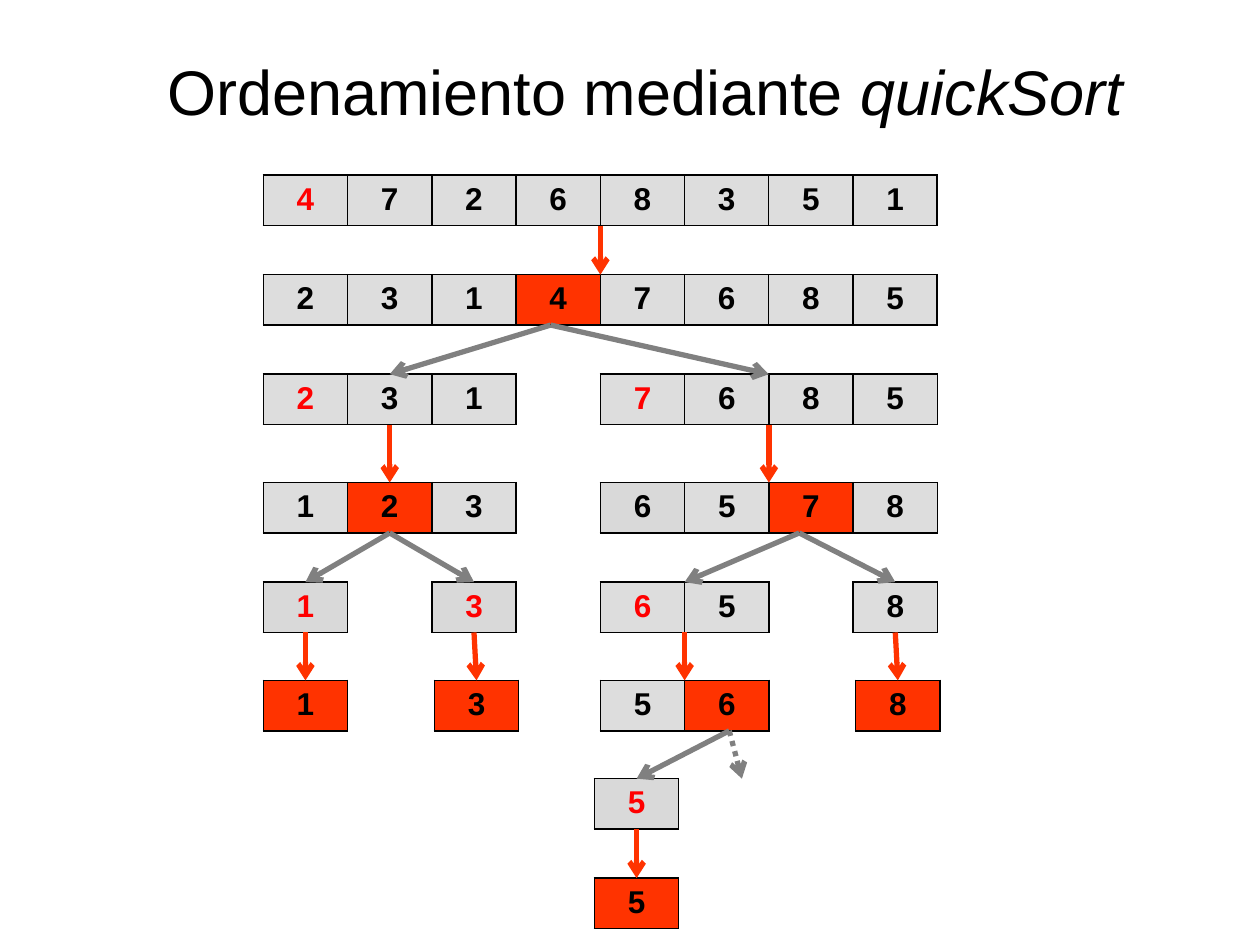
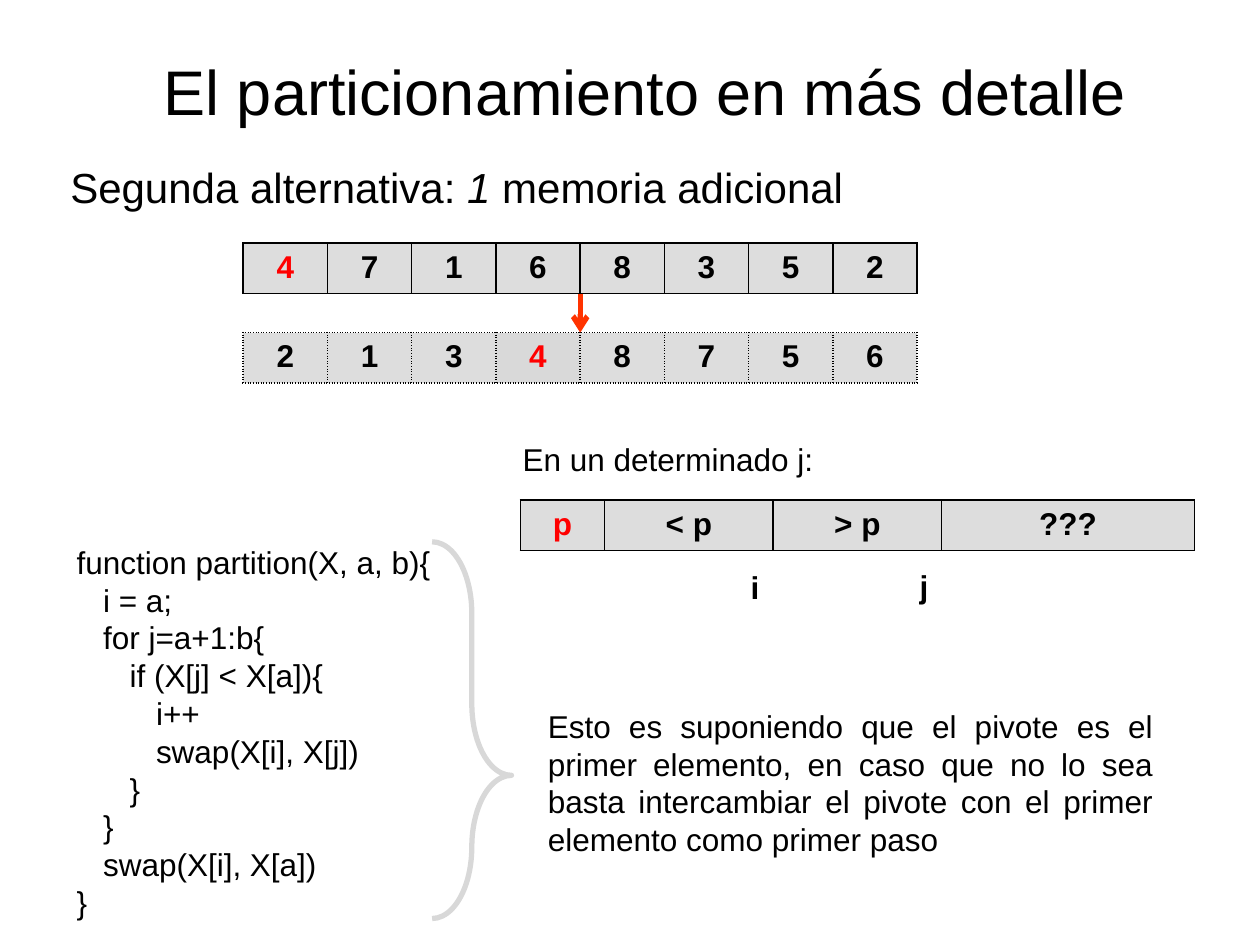
from pptx import Presentation
from pptx.dml.color import RGBColor
from pptx.enum.dml import MSO_LINE as Dash
from pptx.enum.shapes import MSO_CONNECTOR as Link, MSO_SHAPE as Shape
from pptx.enum.text import MSO_ANCHOR as Anchor, PP_ALIGN as Align
from pptx.oxml.ns import qn
from pptx.util import Inches, Pt
from lxml.etree import SubElement

COLORS = {
    "ink": "000000", "candidate": "FF0000", "placed": "FF3300",
    "cell": "DDDDDD", "shade": "D9D9D9", "split": "808080", "brace": "D8D8D8",
}
FONT = "Arial"
CELL_W, CELL_H = 5.35 / 8, 0.4
INDENT = 0.21

MARKS = {
    "*": ("candidate", "cell"),
    "@": ("candidate", "shade"),
    "#": ("ink", "placed"),
    "~": ("ink", "shade"),
}

SORT_TITLE = [("Ordenamiento mediante ", False), ("quickSort", True)]
SORT_LEFT = 2.09
LEVELS = [1.39, 2.18, 2.97, 3.83, 4.62, 5.4, 6.18, 6.97]
SORT_ARRAYS = {
    "all": (0, 0, "*4 7 2 6 8 3 5 1"),
    "all split": (1, 0, "2 3 1 #4 7 6 8 5"),
    "low": (2, 0, "*2 3 1"),
    "high": (2, 4, "*7 6 8 5"),
    "low split": (3, 0, "1 #2 3"),
    "high split": (3, 4, "~6 5 #7 8"),
    "one": (4, 0, "@1"),
    "three": (4, 2, "@3"),
    "mid": (4, 4, "*6 5"),
    "eight": (4, 7, "8"),
    "one done": (5, 0, "#1"),
    "three done": (5, 2.03, "#3"),
    "mid split": (5, 4, "5 #6"),
    "eight done": (5, 7.03, "#8"),
    "five": (6, 3.93, "@5"),
    "five done": (7, 3.93, "#5"),
}
PARTITIONS = [
    ("all", "all split"), ("low", "low split"), ("high", "high split"),
    ("one", "one done"), ("three", "three done"), ("mid", "mid split"),
    ("eight", "eight done"), ("five", "five done"),
]
SPLITS = [
    ("all split", 3.41, ["low", "high"]),
    ("low split", 1.5, ["one", "three"]),
    ("high split", 6.36, ["mid", "eight"]),
    ("mid split", 5.53, ["five"]),
]
PENDING_SPLIT = (5.53, 5.68)

DETAIL_TITLE = [("El particionamiento en más detalle", False)]
ALTERNATIVE = [("Segunda alternativa: ", False), ("1", True), (" memoria adicional", False)]
DETAIL_LEFT, BEFORE_TOP, AFTER_TOP = 1.93, 1.93, 2.64
BEFORE = "*4 7 1 6 8 3 5 2"
AFTER = "2 1 3 @4 8 7 5 6"
STATE = ["*p", "< p", "> p", "???"]
STATE_SPANS = [1, 2, 2, 3]
CODE = [
    (0, "function partition(X, a, b){"),
    (1, "i = a;"),
    (1, "for j=a+1:b{"),
    (2, "if (X[j] < X[a]){"),
    (3, "i++"),
    (3, "swap(X[i], X[j])"),
    (2, "}"),
    (1, "}"),
    (1, "swap(X[i], X[a])"),
    (0, "}"),
]
NOTE = ("Esto es suponiendo que el pivote es el primer elemento, en caso que no lo sea "
        "basta intercambiar el pivote con el primer elemento como primer paso")
LABELS = [
    ("i", (5.86, 4.46, 0.39, 0.4), True),
    ("j", (7.2, 4.45, 0.39, 0.4), True),
    ("En un determinado j:", (4.05, 3.44, 5, 0.4), False),
    (NOTE, (4.25, 5.56, 5, 1.31), False),
]


def rgb(name):
    return RGBColor.from_string(COLORS[name])


def write(paragraph, runs, size=18, align=Align.JUSTIFY, color="ink", bold=False):
    paragraph.alignment = align
    for words, italic in runs:
        run = paragraph.add_run()
        run.text = words
        font = run.font
        font.name, font.size, font.bold, font.italic = FONT, Pt(size), bold, italic
        font.color.rgb = rgb(color)


def add_frame(slide, place, anchor=Anchor.TOP):
    frame = slide.shapes.add_textbox(*map(Inches, place)).text_frame
    frame.word_wrap = True
    frame.vertical_anchor = anchor
    return frame


def add_titled_slide(deck, title):
    slide = deck.slides.add_slide(deck.slide_layouts[6])
    frame = add_frame(slide, (0.83, 0.26, 8.58, 0.81), Anchor.BOTTOM)
    write(frame.paragraphs[0], title, 36, Align.CENTER)
    return slide


def add_border(cell, dash):
    props = cell._tc.get_or_add_tcPr()
    for side in ("a:lnL", "a:lnR", "a:lnT", "a:lnB"):
        edge = SubElement(props, qn(side), w=str(Pt(1)))
        fill = SubElement(edge, qn("a:solidFill"))
        SubElement(fill, qn("a:srgbClr"), val=COLORS["ink"])
        SubElement(edge, qn("a:prstDash"), val=dash)


def add_array(slide, left, top, items, spans=None, dash="solid"):
    spans = spans or [1] * len(items)
    place = (left, top, sum(spans) * CELL_W, CELL_H)
    table = slide.shapes.add_table(1, len(items), *map(Inches, place)).table
    table.first_row = table.horz_banding = False
    for index, (item, span) in enumerate(zip(items, spans)):
        table.columns[index].width = Inches(span * CELL_W)
        color, fill = MARKS.get(item[0], ("ink", "cell"))
        cell = table.cell(0, index)
        add_border(cell, dash)
        cell.fill.solid()
        cell.fill.fore_color.rgb = rgb(fill)
        value = item[1:] if item[0] in MARKS else item
        write(cell.text_frame.paragraphs[0], [(value, False)],
              align=Align.CENTER, color=color, bold=True)


def add_arrow(slide, start, end, color, dash=None):
    arrow = slide.shapes.add_connector(Link.STRAIGHT, *map(Inches, (*start, *end)))
    arrow.line.color.rgb = rgb(color)
    arrow.line.width = Pt(3)
    if dash:
        arrow.line.dash_style = dash
    SubElement(arrow.line._get_or_add_ln(), qn("a:tailEnd"), type="arrow")
    SubElement(arrow._element.spPr, qn("a:effectLst"))


def build_sort(deck):
    slide = add_titled_slide(deck, SORT_TITLE)

    def at(column, y):
        return SORT_LEFT + column * CELL_W, y

    tops, bottoms = {}, {}
    for name, (level, column, values) in SORT_ARRAYS.items():
        items = values.split()
        top = LEVELS[level]
        add_array(slide, *at(column, top), items)
        middle = column + len(items) / 2
        tops[name], bottoms[name] = at(middle, top), at(middle, top + CELL_H)

    for source, result in PARTITIONS:
        add_arrow(slide, bottoms[source], tops[result], "placed")
    for source, pivot, halves in SPLITS:
        for half in halves:
            add_arrow(slide, at(pivot, bottoms[source][1]), tops[half], "split")
    pivot, target = PENDING_SPLIT
    add_arrow(slide, at(pivot, bottoms["mid split"][1]), at(target, tops["five"][1]),
              "split", Dash.ROUND_DOT)


def build_detail(deck):
    slide = add_titled_slide(deck, DETAIL_TITLE)
    write(add_frame(slide, (0.46, 1.23, 9.14, 0.55)).paragraphs[0], ALTERNATIVE, 24)

    add_array(slide, DETAIL_LEFT, BEFORE_TOP, BEFORE.split())
    add_array(slide, DETAIL_LEFT, AFTER_TOP, AFTER.split(), dash="sysDot")
    middle = DETAIL_LEFT + 4 * CELL_W
    add_arrow(slide, (middle, BEFORE_TOP + CELL_H), (middle, AFTER_TOP), "placed")
    add_array(slide, 4.13, 3.97, STATE, STATE_SPANS)

    code = add_frame(slide, (0.51, 4.26, 3.31, 3.13))
    for index, (depth, line) in enumerate(CODE):
        paragraph = code.add_paragraph() if index else code.paragraphs[0]
        write(paragraph, [(line, False)])
        paragraph._p.get_or_add_pPr().set("marL", str(Inches(depth * INDENT)))

    brace = slide.shapes.add_shape(Shape.RIGHT_BRACE, *map(Inches, (3.43, 4.3, 0.63, 2.99)))
    brace.adjustments[0], brace.adjustments[1] = 0.94, 0.62
    brace.shadow.inherit = False
    brace.fill.background()
    brace.line.color.rgb = rgb("brace")
    brace.line.width = Pt(3)

    for words, place, bold in LABELS:
        write(add_frame(slide, place).paragraphs[0], [(words, False)], bold=bold)


def main():
    deck = Presentation()
    deck.slide_width, deck.slide_height = Inches(10), Inches(7.5)
    build_sort(deck)
    build_detail(deck)
    deck.save("out.pptx")


if __name__ == "__main__":
    main()
